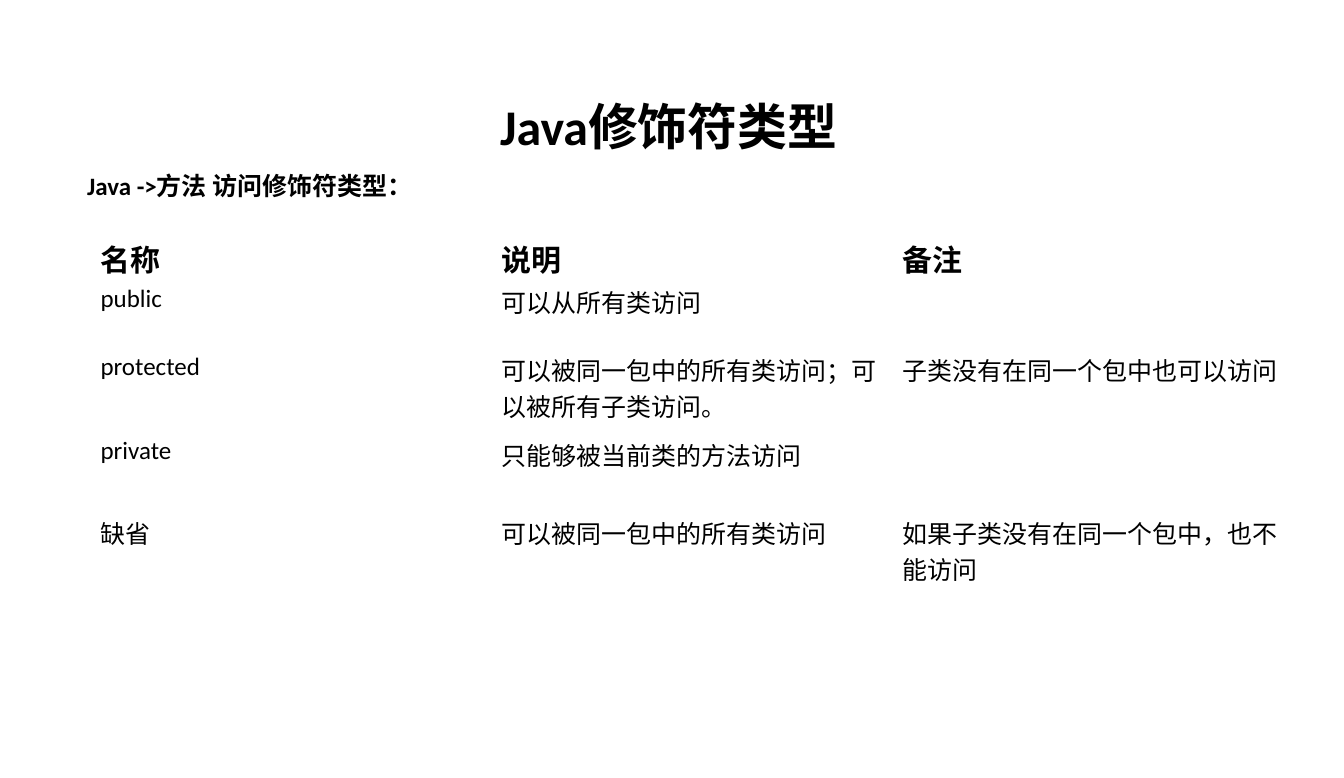
from dataclasses import dataclass

from pptx import Presentation
from pptx.dml.color import RGBColor
from pptx.enum import text
from pptx.util import Pt


@dataclass(frozen=True)
class Theme:
    font: str = "Calibri"
    ink: RGBColor = RGBColor(0, 0, 0)
    title: int = 40
    header: int = 24
    body: int = 20


theme = Theme()


def add_run(p, words, size, bold):
    r = p.add_run()
    r.text = words
    r.font.name = theme.font
    r.font.size = Pt(size)
    r.font.bold = bold
    r.font.color.rgb = theme.ink


prs = Presentation()
prs.slide_width, prs.slide_height = Pt(1077), Pt(623.5)
s = prs.slides.add_slide(prs.slide_layouts[5])

title = s.shapes.title
title.left, title.top, title.width, title.height = Pt(62.6), Pt(73.4), Pt(946.8), Pt(92.2)
tf = title.text_frame
tf.word_wrap = True
tf.auto_size = text.MSO_AUTO_SIZE.NONE
tf.vertical_anchor = text.MSO_ANCHOR.TOP
p = tf.paragraphs[0]
p.alignment = text.PP_ALIGN.CENTER
add_run(p, "Java修饰符类型", theme.title, True)
p = tf.add_paragraph()
p.alignment = text.PP_ALIGN.LEFT
p.line_spacing = 1.5
add_run(p, "Java ->方法 访问修饰符类型：", theme.body, True)

modifiers = [
    ("名称", "说明", "备注"),
    ("public", "可以从所有类访问", ""),
    ("protected", "可以被同一包中的所有类访问；可以被所有子类访问。", "子类没有在同一个包中也可以访问"),
    ("private", "只能够被当前类的方法访问", ""),
    ("缺省", "可以被同一包中的所有类访问", "如果子类没有在同一个包中，也不能访问"),
]
row_heights = [36, 54.7, 67.7, 62.6, 58]

table = s.shapes.add_table(
    len(modifiers), 3, Pt(73.4), Pt(187.2), Pt(964.1), Pt(sum(row_heights))
).table
table.first_row = False
table.horz_banding = False
for column in table.columns:
    column.width = Pt(321.3)
for i, (row, height) in enumerate(zip(modifiers, row_heights)):
    table.rows[i].height = Pt(height)
    for j, words in enumerate(row):
        cell = table.cell(i, j)
        cell.fill.background()
        cell.margin_top, cell.margin_bottom = Pt(2.5), Pt(0)
        if words:
            size = theme.body if i else theme.header
            add_run(cell.text_frame.paragraphs[0], words, size, i == 0)

prs.save("out.pptx")
